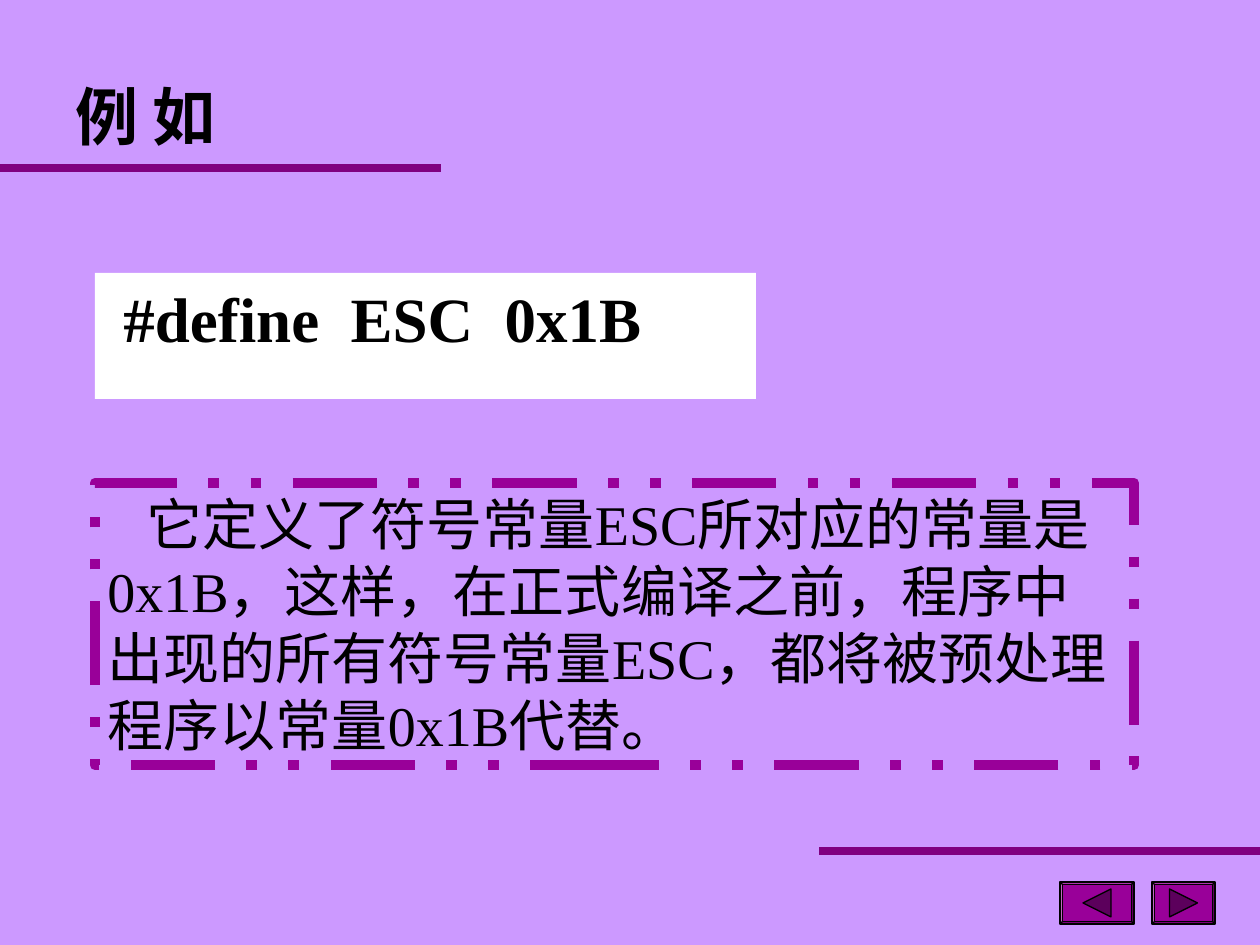
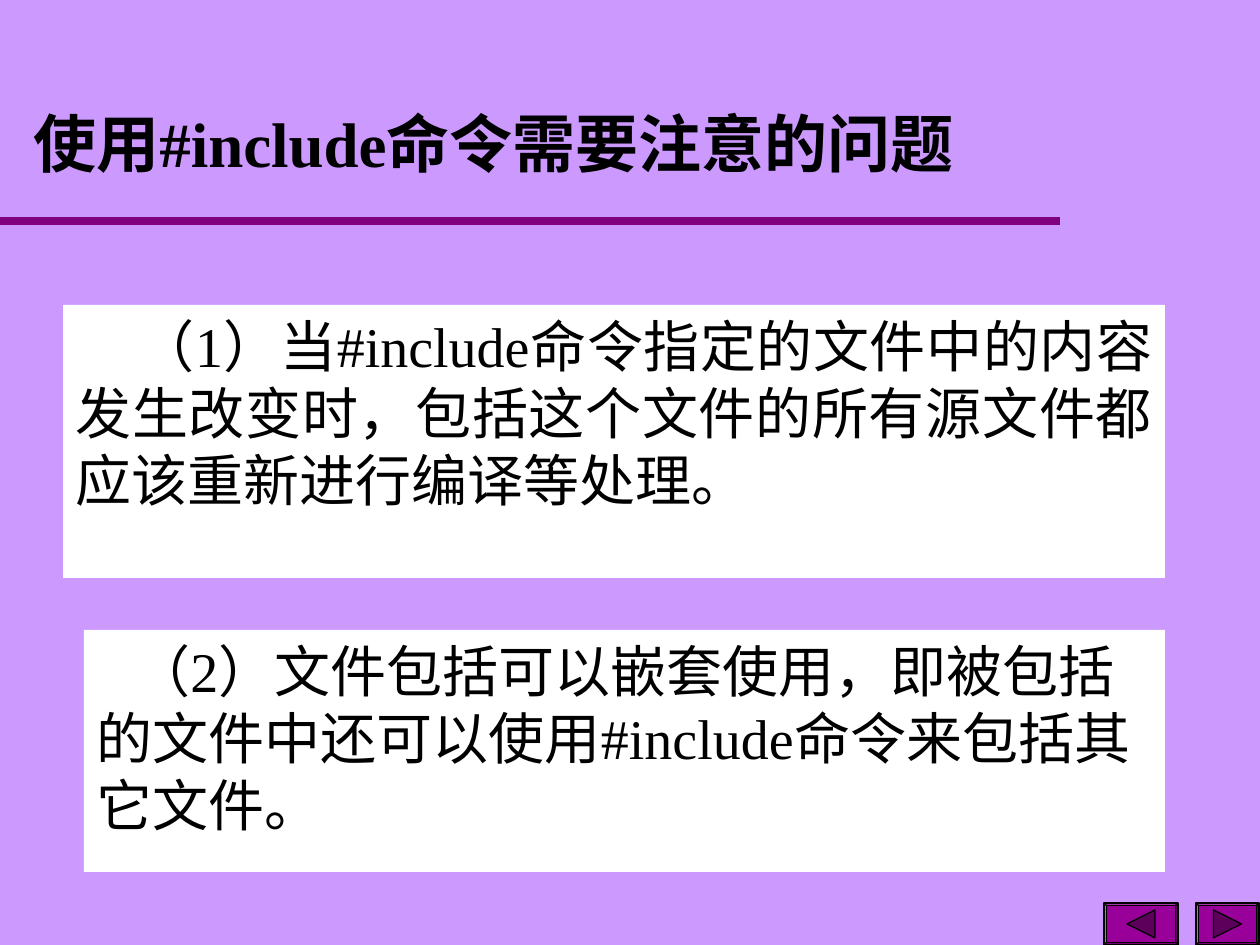
from dataclasses import dataclass

from lxml import etree
from pptx import Presentation
from pptx.dml.color import RGBColor
from pptx.enum.dml import MSO_LINE
from pptx.enum.shapes import MSO_CONNECTOR, MSO_SHAPE
from pptx.enum.text import MSO_ANCHOR, PP_ALIGN
from pptx.oxml.ns import qn
from pptx.util import Emu, Pt

RECTANGLE = MSO_SHAPE.RECTANGLE
BEVEL = MSO_SHAPE.BEVEL
STRAIGHT = MSO_CONNECTOR.STRAIGHT
DASHED = MSO_LINE.DASH_DOT_DOT
TOP, MIDDLE = MSO_ANCHOR.TOP, MSO_ANCHOR.MIDDLE
LEFT, JUSTIFY = PP_ALIGN.LEFT, PP_ALIGN.JUSTIFY

SCALE = 914400 / 126
BLANK_LAYOUT = 6


@dataclass(frozen=True)
class Theme:
    background: str = "CC99FF"
    panel: str = "FFFFFF"
    ink: str = "000000"
    rule: str = "800080"
    accent: str = "990099"
    arrow: str = "5C005C"
    latin: str = "Times New Roman"
    chinese: str = "Noto Sans CJK SC"
    heading_size: int = 36
    body_size: int = 32
    rule_width: float = 4.5
    frame_width: float = 6
    button_line: float = 0.75


THEME = Theme()

SLIDES = [
    {
        "title": ((63, 73, 231, 84), ["例 如"]),
        "rules": [(0, 441, 168), (819, 1260, 851)],
        "buttons": (1060, 882),
        "boxes": [
            {
                "at": (95, 273, 661, 126),
                "spans": ["#define  ESC  0x1B"],
                "size": THEME.heading_size,
                "bold": True,
                "align": JUSTIFY,
                "indent": 16,
            },
            {
                "at": (95, 483, 1039, 282),
                "spans": [
                    "它定义了符号常量", "ESC", "所对应的常量是", "0x1B",
                    "，这样，在正式编译之前，程序中出现的所有符号常量", "ESC",
                    "，都将被预处理程序以常量", "0x1B", "代替。",
                ],
                "indent": 39,
                "framed": True,
            },
        ],
    },
    {
        "title": ((21, 84, 1071, 116), ["使用", "#include", "命令需要注意的问题"]),
        "rules": [(0, 1060, 221)],
        "buttons": (1104, 903),
        "boxes": [
            {
                "at": (63, 305, 1102, 273),
                "spans": [
                    "（", "1", "）当", "#include",
                    "命令指定的文件中的内容发生改变时，"
                    "包括这个文件的所有源文件都应该重新进行编译等处理。",
                ],
                "align": JUSTIFY,
                "indent": 63,
            },
            {
                "at": (84, 630, 1081, 242),
                "spans": [
                    "（", "2", "）文件包括可以嵌套使用，即被包括的文件中还可以使用",
                    "#include", "命令来包括其它文件。",
                ],
                "indent": 38,
            },
        ],
    },
]

BUTTON_HEIGHT = 42
BUTTON_WIDTHS = {"back": 74, "forward": 63}
BUTTON_GAP = 18
ARROW_HALF = 14


def px(value):
    return Emu(round(value * SCALE))


def color(name):
    return RGBColor.from_string(name)


def paint(shape, fill=None, line=None, width=0):
    shape.shadow.inherit = False
    if fill:
        shape.fill.solid()
        shape.fill.fore_color.rgb = color(fill)
    else:
        shape.fill.background()
    if line:
        shape.line.color.rgb = color(line)
        shape.line.width = Pt(width)
    else:
        shape.line.fill.background()


def write(shape, spans, size, bold=False, align=LEFT, anchor=TOP, indent=0):
    frame = shape.text_frame
    frame.word_wrap = True
    frame.vertical_anchor = anchor
    para = frame.paragraphs[0]
    para.alignment = align
    if indent:
        para._p.get_or_add_pPr().set("indent", str(px(indent)))
    for text in spans:
        span = para.add_run()
        span.text = text
        span.font.size = Pt(size)
        span.font.bold = bold
        span.font.color.rgb = color(THEME.ink)
        span.font.name = THEME.latin if text.isascii() else THEME.chinese
        east_asian = etree.SubElement(span._r.get_or_add_rPr(), qn("a:ea"))
        east_asian.set("typeface", THEME.chinese)


def add_title(page, at, spans):
    box = page.shapes.add_textbox(*map(px, at))
    write(box, spans, THEME.heading_size, bold=True, anchor=MIDDLE)


def add_rule(page, start, end, y):
    rule = page.shapes.add_connector(STRAIGHT, px(start), px(y), px(end), px(y))
    rule.line.color.rgb = color(THEME.rule)
    rule.line.width = Pt(THEME.rule_width)
    etree.SubElement(rule._element.spPr, qn("a:effectLst"))


def add_box(page, at, spans, size=THEME.body_size, bold=False, align=LEFT,
            indent=0, framed=False):
    box = page.shapes.add_shape(RECTANGLE, *map(px, at))
    if framed:
        paint(box, line=THEME.accent, width=THEME.frame_width)
        box.line.dash_style = DASHED
    else:
        paint(box, fill=THEME.panel)
    write(box, spans, size, bold, align, indent=indent)


def add_buttons(page, left, top):
    for direction, width in BUTTON_WIDTHS.items():
        button = page.shapes.add_shape(
            BEVEL, px(left), px(top), px(width), px(BUTTON_HEIGHT))
        button.adjustments[0] = 0.06
        paint(button, THEME.accent, THEME.ink, THEME.button_line)
        center_x, center_y = left + width / 2, top + BUTTON_HEIGHT / 2
        reach = ARROW_HALF if direction == "forward" else -ARROW_HALF
        base = center_x - reach
        builder = page.shapes.build_freeform(
            px(base), px(center_y - ARROW_HALF))
        builder.add_line_segments([
            (px(center_x + reach), px(center_y)),
            (px(base), px(center_y + ARROW_HALF)),
        ])
        paint(builder.convert_to_shape(), THEME.arrow, THEME.ink,
              THEME.button_line)
        left += width + BUTTON_GAP


def main():
    deck = Presentation()
    deck.slide_width, deck.slide_height = px(1260), px(945)
    for content in SLIDES:
        page = deck.slides.add_slide(deck.slide_layouts[BLANK_LAYOUT])
        page.background.fill.solid()
        page.background.fill.fore_color.rgb = color(THEME.background)
        add_title(page, *content["title"])
        for rule in content["rules"]:
            add_rule(page, *rule)
        for box in content["boxes"]:
            add_box(page, **box)
        add_buttons(page, *content["buttons"])
    deck.save("out.pptx")


if __name__ == "__main__":
    main()
